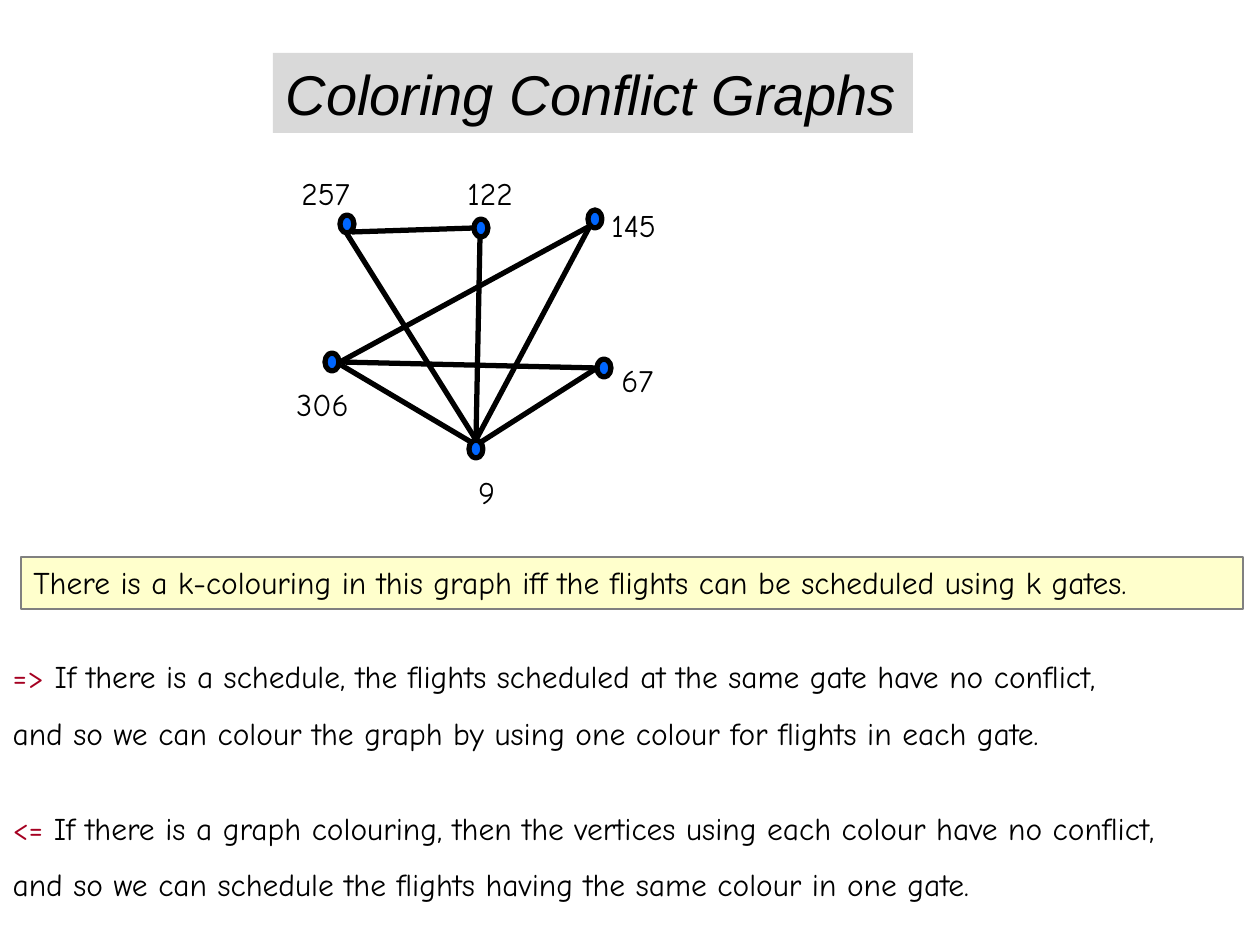
from dataclasses import dataclass
from typing import NamedTuple

import lxml.etree
import pptx
import pptx.dml.color
import pptx.enum.shapes
import pptx.enum.text
import pptx.oxml.ns
import pptx.util

SCALE = 914400 / 126


@dataclass(frozen=True)
class Theme:
    ink: str = "000000"
    node: str = "0066FF"
    accent: str = "A50021"
    title_fill: str = "D9D9D9"
    claim_fill: str = "FFFFCC"
    claim_line: str = "808080"
    title_font: str = "Arial"
    body_font: str = "Comic Neue"
    title_size: int = 32
    body_size: int = 18
    graph_line: float = 3
    claim_border: float = 0.75


class Box(NamedTuple):
    left: int
    top: int
    width: int
    height: int


class Point(NamedTuple):
    x: int
    y: int


class Flight(NamedTuple):
    number: str
    node: Point
    label: Point
    label_width: int


class Conflict(NamedTuple):
    start: Point
    end: Point


class Line(NamedTuple):
    mark: str
    text: str
    spacing: float
    before: float


THEME = Theme()
NODE_WIDTH, NODE_HEIGHT = 14, 18
LABEL_HEIGHT = 50

FLIGHTS = [
    Flight("257", Point(340, 215), Point(289, 168), 83),
    Flight("122", Point(474, 219), Point(455, 168), 78),
    Flight("306", Point(325, 353), Point(284, 379), 83),
    Flight("67", Point(597, 359), Point(609, 355), 64),
    Flight("145", Point(588, 210), Point(599, 200), 78),
    Flight("9", Point(469, 440), Point(466, 467), 47),
]

TOP_OF_9 = Point(476, 440)
RIGHT_OF_306 = Point(340, 362)
CORNER_OF_145 = Point(590, 226)
LEFT_OF_67 = Point(597, 368)
CONFLICTS = [
    Conflict(RIGHT_OF_306, CORNER_OF_145),
    Conflict(RIGHT_OF_306, LEFT_OF_67),
    Conflict(Point(352, 232), Point(474, 228)),
    Conflict(Point(347, 234), TOP_OF_9),
    Conflict(TOP_OF_9, Point(480, 237)),
    Conflict(TOP_OF_9, CORNER_OF_145),
    Conflict(Point(481, 442), LEFT_OF_67),
    Conflict(Point(341, 365), Point(471, 442)),
]

CLAIM = "There is a k-colouring in this graph iff the flights can be scheduled using k gates."
PROOF = [
    Line("=>", " If there is a schedule, the flights scheduled at the same gate have no conflict,", 1, 0),
    Line("", "and so we can colour the graph by using one colour for flights in each gate.", 1.5, 0),
    Line("<=", " If there is a graph colouring, then the vertices using each colour have no conflict,", 1, 32.5),
    Line("", "and so we can schedule the flights having the same colour in one gate.", 1.5, 0),
]


def px(n: int) -> int:
    return round(n * SCALE)


def rgb(value: str) -> pptx.dml.color.RGBColor:
    return pptx.dml.color.RGBColor.from_string(value)


def place(sp, box: Box) -> None:
    sp.left, sp.top, sp.width, sp.height = map(px, box)


def paint(sp, fill: str) -> None:
    sp.fill.solid()
    sp.fill.fore_color.rgb = rgb(fill)


def outline(sp, color: str, width: float) -> None:
    sp.line.color.rgb = rgb(color)
    sp.line.width = pptx.util.Pt(width)


def style(r, font: str, size: int, color: str) -> None:
    r.font.name = font
    r.font.size = pptx.util.Pt(size)
    r.font.color.rgb = rgb(color)


def frame(tf, anchor=pptx.enum.text.MSO_ANCHOR.TOP) -> None:
    tf.word_wrap = True
    tf.auto_size = pptx.enum.text.MSO_AUTO_SIZE.NONE
    tf.vertical_anchor = anchor


def write(tf, text: str, font: str, size: int):
    tf.text = text
    p = tf.paragraphs[0]
    p.alignment = pptx.enum.text.PP_ALIGN.LEFT
    r = p.runs[0]
    style(r, font, size, THEME.ink)
    return r


def add_title(slide) -> None:
    sp = slide.shapes.title
    place(sp, Box(273, 53, 640, 80))
    paint(sp, THEME.title_fill)
    frame(sp.text_frame, pptx.enum.text.MSO_ANCHOR.MIDDLE)
    r = write(sp.text_frame, "Coloring Conflict Graphs", THEME.title_font, THEME.title_size)
    r.font.italic = True


def add_flight(slide, flight: Flight) -> None:
    label = Box(*flight.label, flight.label_width, LABEL_HEIGHT)
    tb = slide.shapes.add_textbox(*map(px, label))
    frame(tb.text_frame)
    write(tb.text_frame, flight.number, THEME.body_font, THEME.body_size)
    node = Box(*flight.node, NODE_WIDTH, NODE_HEIGHT)
    sp = slide.shapes.add_shape(pptx.enum.shapes.MSO_SHAPE.OVAL, *map(px, node))
    sp.shadow.inherit = False
    paint(sp, THEME.node)
    outline(sp, THEME.ink, THEME.graph_line)


def add_conflict(slide, conflict: Conflict) -> None:
    ends = (*conflict.start, *conflict.end)
    cx = slide.shapes.add_connector(pptx.enum.shapes.MSO_CONNECTOR.STRAIGHT, *map(px, ends))
    outline(cx, THEME.ink, THEME.graph_line)
    lxml.etree.SubElement(cx._element.spPr, pptx.oxml.ns.qn("a:effectLst"))


def add_claim(slide) -> None:
    box = Box(21, 557, 1222, 52)
    sp = slide.shapes.add_shape(pptx.enum.shapes.MSO_SHAPE.RECTANGLE, *map(px, box))
    sp.shadow.inherit = False
    paint(sp, THEME.claim_fill)
    outline(sp, THEME.claim_line, THEME.claim_border)
    frame(sp.text_frame)
    write(sp.text_frame, CLAIM, THEME.body_font, THEME.body_size)


def add_proof(slide) -> None:
    sp = slide.placeholders[1]
    place(sp, Box(0, 651, 1264, 260))
    tf = sp.text_frame
    frame(tf)
    for i, line in enumerate(PROOF):
        p = tf.add_paragraph() if i else tf.paragraphs[0]
        pPr = p._p.get_or_add_pPr()
        pPr.set("marL", "0")
        pPr.set("indent", "0")
        lxml.etree.SubElement(pPr, pptx.oxml.ns.qn("a:buNone"))
        p.line_spacing = float(line.spacing)
        p.space_before = pptx.util.Pt(line.before)
        for text, color in ((line.mark, THEME.accent), (line.text, THEME.ink)):
            if text:
                r = p.add_run()
                r.text = text
                style(r, THEME.body_font, THEME.body_size, color)


def main() -> None:
    prs = pptx.Presentation()
    prs.slide_width, prs.slide_height = px(1260), px(945)
    slide = prs.slides.add_slide(prs.slide_layouts[1])
    add_title(slide)
    for flight in FLIGHTS:
        add_flight(slide, flight)
    for conflict in CONFLICTS:
        add_conflict(slide, conflict)
    add_claim(slide)
    add_proof(slide)
    prs.save("out.pptx")


if __name__ == "__main__":
    main()
